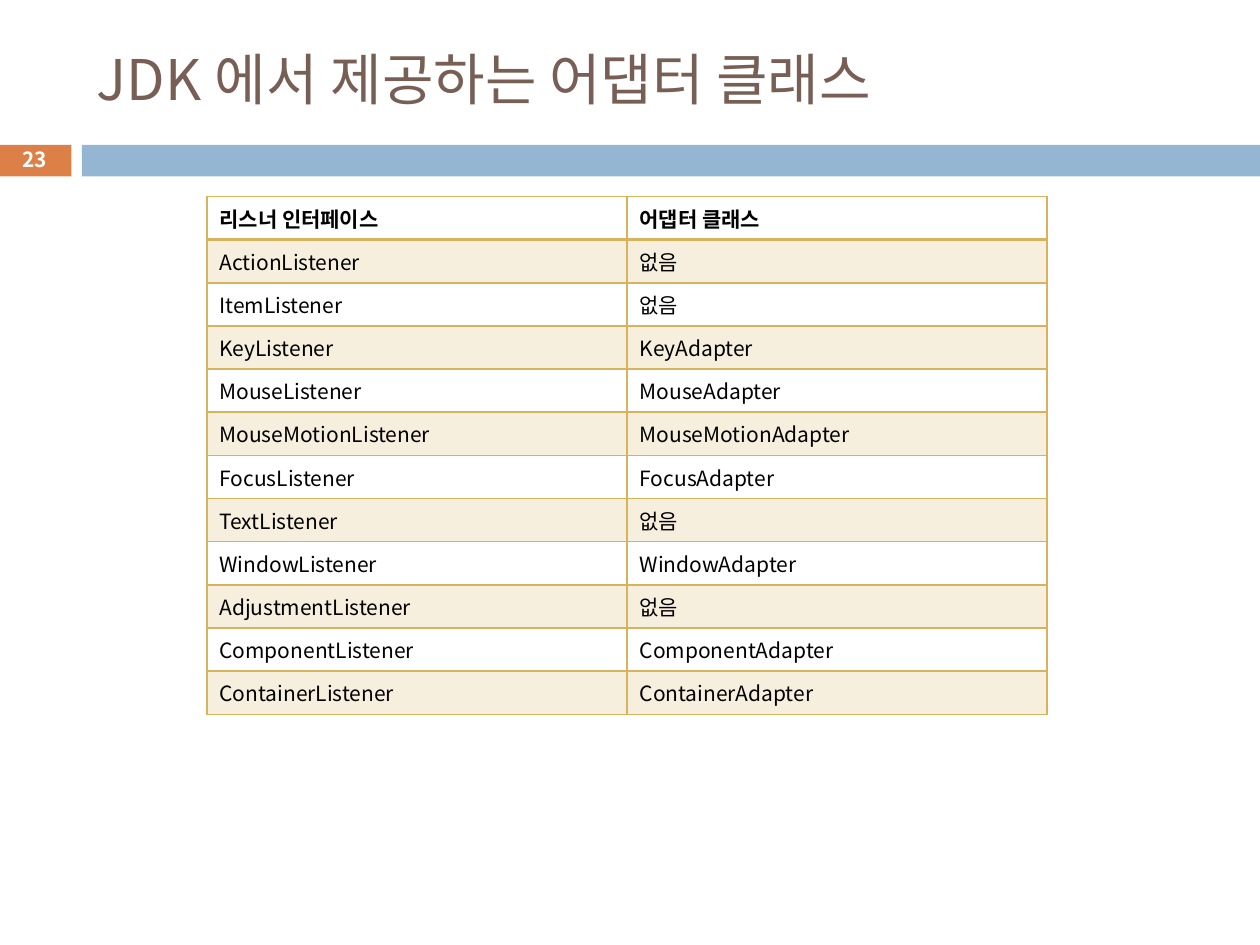
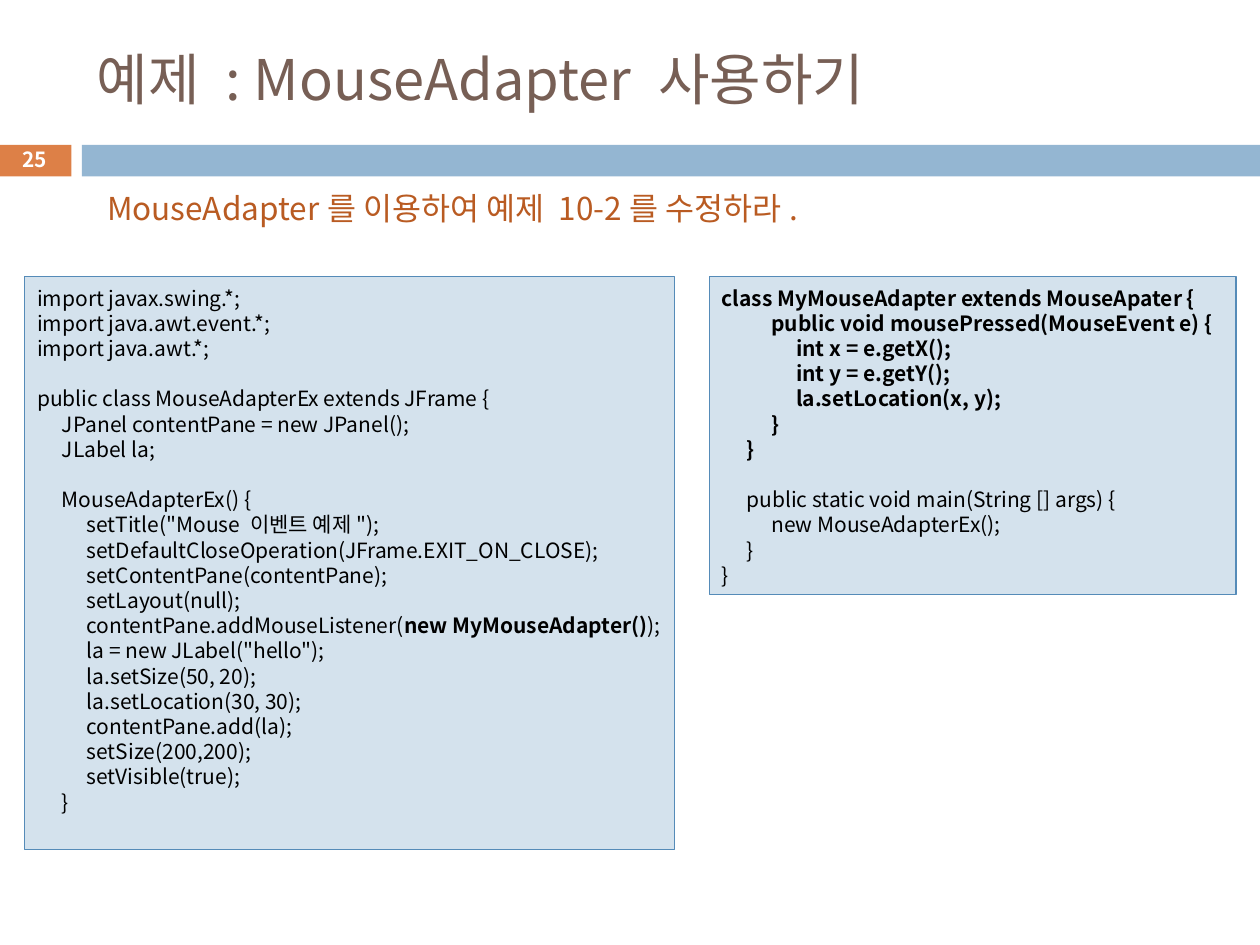
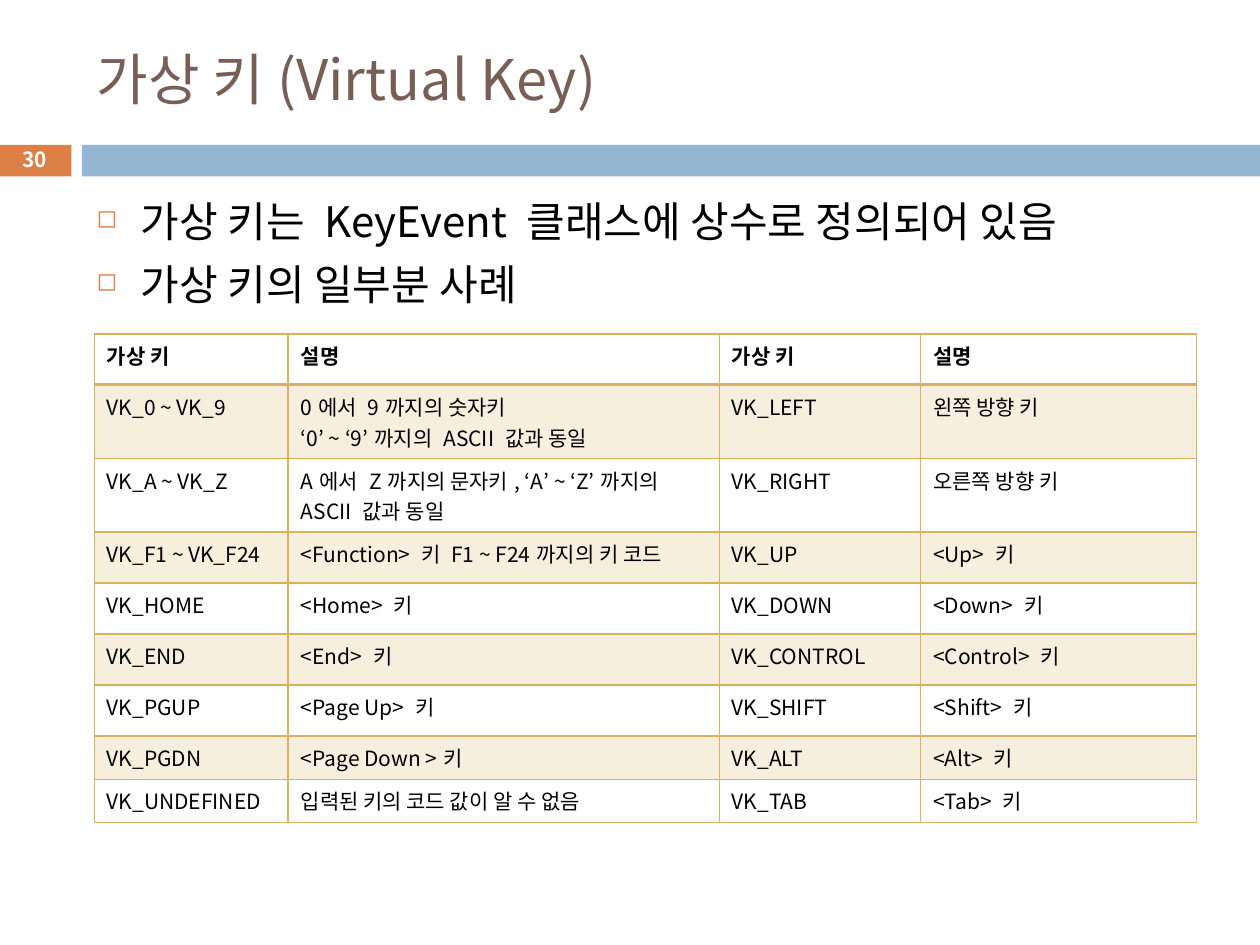
from lxml.etree import SubElement
from pptx import Presentation
from pptx.dml.color import RGBColor as RGB
from pptx.enum.shapes import MSO_SHAPE as SHAPE
from pptx.enum.text import MSO_ANCHOR as ANCHOR, PP_ALIGN as ALIGN
from pptx.oxml.ns import qn
from pptx.util import Cm, Pt

FONT = "Noto Sans CJK KR"
COLORS = {
    "title": "775F55", "badge": "DD8047", "band": "94B6D2", "gold": "D8B25C",
    "task": "B95B22", "code": "D4E2ED", "edge": "558BB8",
    "black": "000000", "white": "FFFFFF",
}
STEP = 0.5
LEAD = 1.2

ADAPTERS = [
    ("리스너 인터페이스", "어댑터 클래스"),
    ("ActionListener", "없음"),
    ("ItemListener", "없음"),
    ("KeyListener", "KeyAdapter"),
    ("MouseListener", "MouseAdapter"),
    ("MouseMotionListener", "MouseMotionAdapter"),
    ("FocusListener", "FocusAdapter"),
    ("TextListener", "없음"),
    ("WindowListener", "WindowAdapter"),
    ("AdjustmentListener", "없음"),
    ("ComponentListener", "ComponentAdapter"),
    ("ContainerListener", "ContainerAdapter"),
]
KEYS = [
    ("가상 키", "설명", "가상 키", "설명"),
    ("VK_0 ~ VK_9", "0에서 9까지의 숫자키\n‘0’ ~ ‘9’까지의 ASCII 값과 동일",
     "VK_LEFT", "왼쪽 방향 키"),
    ("VK_A ~ VK_Z", "A에서 Z까지의 문자키, ‘A’ ~ ‘Z’까지의 ASCII 값과 동일",
     "VK_RIGHT", "오른쪽 방향 키"),
    ("VK_F1 ~ VK_F24", "<Function> 키 F1 ~ F24까지의 키 코드", "VK_UP", "<Up> 키"),
    ("VK_HOME", "<Home> 키", "VK_DOWN", "<Down> 키"),
    ("VK_END", "<End> 키", "VK_CONTROL", "<Control> 키"),
    ("VK_PGUP", "<Page Up> 키", "VK_SHIFT", "<Shift> 키"),
    ("VK_PGDN", "<Page Down >키", "VK_ALT", "<Alt> 키"),
    ("VK_UNDEFINED", "입력된 키의 코드 값이 알 수 없음", "VK_TAB", "<Tab> 키"),
]
FRAME_CODE = """import javax.swing.*;
import java.awt.event.*;
import java.awt.*;

public class MouseAdapterEx extends JFrame {
    JPanel contentPane = new JPanel();
    JLabel la;

    MouseAdapterEx() {
        setTitle("Mouse 이벤트 예제");
        setDefaultCloseOperation(JFrame.EXIT_ON_CLOSE);
        setContentPane(contentPane);
        setLayout(null);
        contentPane.addMouseListener(**new MyMouseAdapter()**);
        la = new JLabel("hello");
        la.setSize(50, 20);
        la.setLocation(30, 30);
        contentPane.add(la);
        setSize(200,200);
        setVisible(true);
    }"""
MOUSE_CODE = """**class MyMouseAdapter extends MouseApater {**
        **public void mousePressed(MouseEvent e) {**
            **int x = e.getX();**
            **int y = e.getY();**
            **la.setLocation(x, y);**
        **}**
    **}**

    public static void main(String [] args) {
        new MouseAdapterEx();
    }
}"""


def rgb(name):
    return RGB.from_string(COLORS[name])


def add_run(para, text, size, color="black", bold=False):
    run = para.add_run()
    run.text = text
    run.font.color.rgb = rgb(color)
    for key, val in {"size": Pt(size), "bold": bold, "name": FONT}.items():
        setattr(run.font, key, val)
    SubElement(run.font._element, qn("a:ea"), typeface=FONT)


def add_paras(frame, count):
    return [frame.paragraphs[0]] + [frame.add_paragraph() for _ in range(count - 1)]


def set_frame(frame, **look):
    for key, val in {"word_wrap": True, **look}.items():
        setattr(frame, key, val)


def add_rect(slide, box, fill, edge=None):
    rect = slide.shapes.add_shape(SHAPE.RECTANGLE, *map(Cm, box))
    rect.shadow.inherit = False
    rect.fill.solid()
    rect.fill.fore_color.rgb = rgb(fill)
    if edge:
        rect.line.color.rgb = rgb(edge)
        rect.line.width = Pt(0.75)
    else:
        rect.line.fill.background()
    return rect


def add_label(slide, box, text, size, color, bold=False, align=ALIGN.LEFT):
    frame = slide.shapes.add_textbox(*map(Cm, box)).text_frame
    set_frame(frame, vertical_anchor=ANCHOR.MIDDLE)
    para = frame.paragraphs[0]
    para.alignment = align
    add_run(para, text, size, color, bold)
    return frame


def set_lead(frame, size):
    frame.margin_top = Pt(3.6 + 0.1 * size)
    for para in frame.paragraphs:
        para.line_spacing = Pt(LEAD * size)


def add_task(slide, text):
    frame = add_label(slide, (1.91, 3.63, 15.75, 1.02), text, 18, "task")
    frame.vertical_anchor = ANCHOR.TOP
    set_lead(frame, 18)


def add_code(slide, box, code, size=12):
    frame = add_rect(slide, box, "code", "edge").text_frame
    set_frame(frame, vertical_anchor=ANCHOR.TOP)
    lines = code.split("\n")
    full = [line for line in lines if line]
    after = {nxt for line, nxt in zip(lines, lines[1:]) if not line}
    for para, line in zip(add_paras(frame, len(full)), full):
        text = line.lstrip()
        level = (len(line) - len(text)) // 4
        para.alignment = ALIGN.LEFT
        para._p.get_or_add_pPr().set("marL", str(Cm(STEP * level)))
        if line in after:
            para.space_before = Pt(LEAD * size)
        for num, part in enumerate(text.split("**")):
            if part:
                add_run(para, part, size, bold=num % 2 == 1)
    set_lead(frame, size)


def add_bullets(slide, box, items, size=24):
    frame = slide.shapes.add_textbox(*map(Cm, box)).text_frame
    set_frame(frame)
    for para, item in zip(add_paras(frame, len(items)), items):
        para.space_before = Pt(7)
        add_run(para, item, size)
    set_lead(frame, size)
    for para in frame.paragraphs:
        props = para._p.get_or_add_pPr()
        props.set("marL", str(Cm(0.89)))
        props.set("indent", str(Cm(-0.89)))
        tint = SubElement(props, qn("a:buClr"))
        SubElement(tint, qn("a:srgbClr"), val=COLORS["badge"])
        SubElement(props, qn("a:buSzPct"), val="60000")
        SubElement(props, qn("a:buChar"), char="◻")


def add_edges(cell, row):
    props = cell._tc.get_or_add_tcPr()
    wide = {(0, "B"), (1, "T")}
    for side in "LRTB":
        width = Pt(2 if (row, side) in wide else 1)
        line = SubElement(props, qn("a:ln" + side), w=str(width))
        fill = SubElement(line, qn("a:solidFill"))
        SubElement(fill, qn("a:srgbClr"), val=COLORS["gold"])


def fill_cell(cell, row):
    if row % 2 == 0:
        cell.fill.background()
        return
    cell.fill.solid()
    cell.fill.fore_color.rgb = rgb("gold")
    tint = cell._tc.tcPr.find(".//" + qn("a:solidFill") + "[last()]")
    tint = cell._tc.tcPr.findall(qn("a:solidFill"))[0][0]
    SubElement(tint, qn("a:alpha"), val="20000")


def add_grid(slide, left, top, cols, rows, data):
    shape = slide.shapes.add_table(len(rows), len(cols), Cm(left), Cm(top),
                                   Cm(sum(cols)), Cm(sum(rows)))
    table = shape.table
    for key in ("first_row", "horz_banding"):
        setattr(table, key, False)
    for col, width in zip(table.columns, cols):
        col.width = Cm(width)
    for num, (row, high, texts) in enumerate(zip(table.rows, rows, data)):
        row.height = Cm(high)
        for cell, text in zip(row.cells, texts):
            add_edges(cell, num)
            fill_cell(cell, num)
            lines = text.split("\n")
            for para, line in zip(add_paras(cell.text_frame, len(lines)), lines):
                add_run(para, line, 12, bold=num == 0)


def add_page(deck, title, number):
    slide = deck.slides.add_slide(deck.slide_layouts[6])
    add_rect(slide, (-0.03, 2.92, 1.47, 0.64), "badge")
    add_rect(slide, (1.65, 2.92, 23.75, 0.64), "band")
    add_label(slide, (1.7, 0.64, 22.66, 1.88), title, 32, "title")
    add_label(slide, (-0.03, 2.87, 1.47, 0.69), str(number), 11.9, "white",
              True, ALIGN.CENTER)
    return slide


def main():
    deck = Presentation()
    deck.slide_width, deck.slide_height = Cm(25.4), Cm(19.05)

    page = add_page(deck, "JDK에서 제공하는 어댑터 클래스", 23)
    add_grid(page, 4.17, 3.96, [8.47] * 2, [0.87] * len(ADAPTERS), ADAPTERS)

    page = add_page(deck, "예제 : MouseAdapter 사용하기", 25)
    add_task(page, "MouseAdapter를 이용하여 예제 10-2를 수정하라.")
    add_code(page, (0.5, 5.58, 13.1, 11.55), FRAME_CODE)
    add_code(page, (14.3, 5.58, 10.62, 6.4), MOUSE_CODE)

    page = add_page(deck, "가상 키(Virtual Key)", 30)
    add_bullets(page, (1.7, 3.73, 22.66, 14),
                ["가상 키는 KeyEvent 클래스에 상수로 정의되어 있음", "가상 키의 일부분 사례"])
    rows = [1.03] + [1.48] * 2 + [1.03] * 4 + [0.87] * 2
    add_grid(page, 1.9, 6.73, [3.91, 8.69, 4.06, 5.56], rows, KEYS)

    deck.save("out.pptx")


if __name__ == "__main__":
    main()
